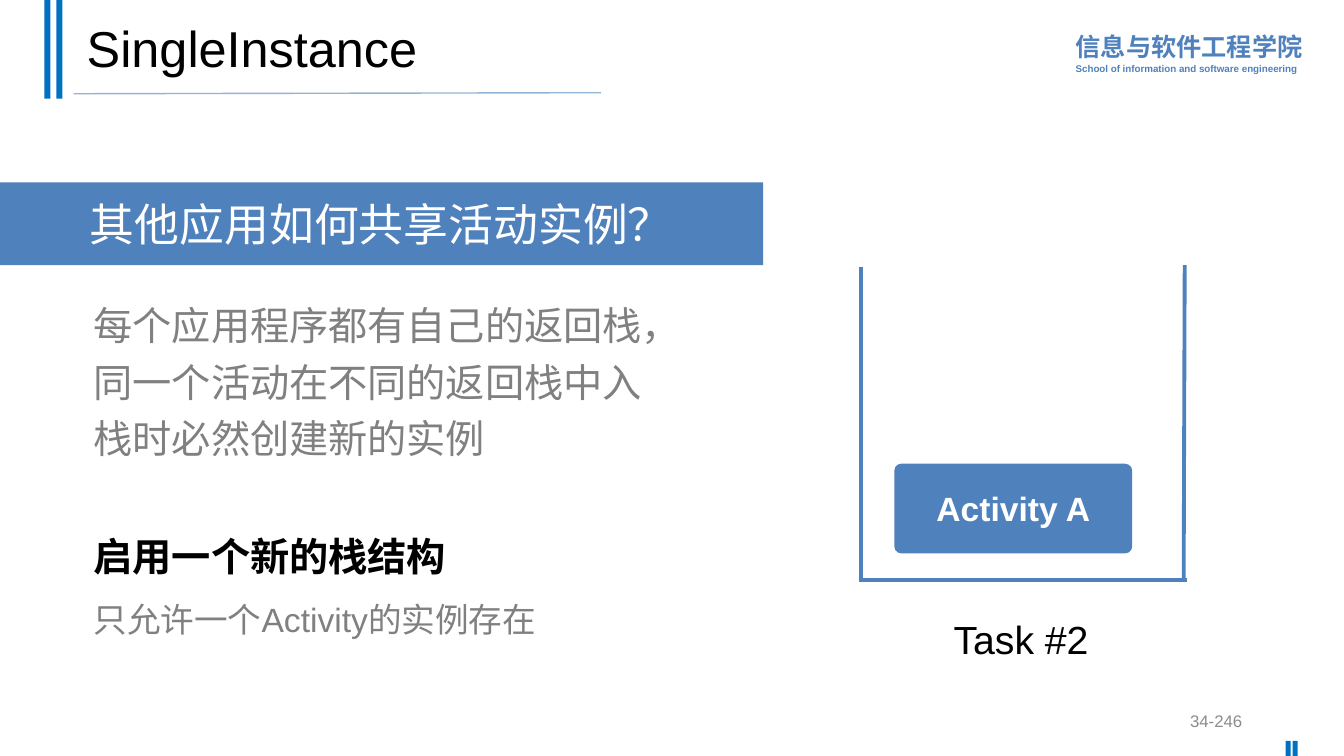
from lxml import etree
from pptx import Presentation
from pptx.dml.color import RGBColor
from pptx.enum.shapes import MSO_CONNECTOR, MSO_SHAPE
from pptx.enum.text import MSO_ANCHOR, PP_ALIGN
from pptx.oxml.ns import qn
from pptx.util import Inches, Pt

RECT, ROUNDED = MSO_SHAPE.RECTANGLE, MSO_SHAPE.ROUNDED_RECTANGLE
STRAIGHT = MSO_CONNECTOR.STRAIGHT
TOP, MIDDLE = MSO_ANCHOR.TOP, MSO_ANCHOR.MIDDLE
LEFT, CENTER, RIGHT = PP_ALIGN.LEFT, PP_ALIGN.CENTER, PP_ALIGN.RIGHT
TITLE_ONLY = 5
COLORS = {
    "accent": "4F81BD",
    "stripe": "0070C0",
    "rule": "95B3D7",
    "black": "000000",
    "white": "FFFFFF",
    "gray": "808080",
    "number": "8C8C8C",
}


class SlideBuilder:
    """Draws styled elements on the current slide."""

    font = "Arial"

    def __init__(self, prs):
        self.slide = prs.slides.add_slide(prs.slide_layouts[TITLE_ONLY])

    def color(self, name):
        return RGBColor.from_string(COLORS[name])

    def fill_text(self, tf, lines, color, anchor=TOP, wrap=True, bold=False, **paragraph):
        tf.word_wrap = wrap
        tf.vertical_anchor = anchor
        for i, (text, size) in enumerate(lines):
            p = tf.add_paragraph() if i else tf.paragraphs[0]
            for name, value in paragraph.items():
                setattr(p, name, value)
            r = p.add_run()
            r.text = text
            style = {"name": self.font, "size": Pt(size), "bold": bold}
            for name, value in style.items():
                setattr(r.font, name, value)
            r.font.color.rgb = self.color(color)

    def title(self, box, text, size):
        sp = self.slide.shapes.title
        for name, value in zip(("left", "top", "width", "height"), box):
            setattr(sp, name, Inches(value))
        self.fill_text(sp.text_frame, [(text, size)], "black", MIDDLE,
                       alignment=LEFT, line_spacing=0.9)

    def text(self, box, lines, color, **style):
        sp = self.slide.shapes.add_textbox(*map(Inches, box))
        self.fill_text(sp.text_frame, lines, color, **style)

    def block(self, box, fill, kind=RECT, radius=None):
        sp = self.slide.shapes.add_shape(kind, *map(Inches, box))
        sp.shadow.inherit = False
        sp.fill.solid()
        sp.fill.fore_color.rgb = self.color(fill)
        sp.line.fill.background()
        if radius is not None:
            sp.adjustments[0] = radius
        return sp.text_frame

    def line(self, ends, color, width):
        cxn = self.slide.shapes.add_connector(STRAIGHT, *map(Inches, ends))
        cxn.line.color.rgb = self.color(color)
        cxn.line.width = Pt(width)
        etree.SubElement(cxn._element.spPr, qn("a:effectLst"))


def main():
    prs = Presentation()
    prs.slide_width, prs.slide_height = Inches(13.33), Inches(7.5)
    s = SlideBuilder(prs)

    s.text((10.57, 0.23, 2.45, 0.56),
           [("信息与软件工程学院", 18),
            ("School of information and software engineering", 7)],
           "accent", bold=True, line_spacing=1.1)
    for x in (0.44, 0.56):
        s.block((x, 0, 0.06, 0.98), "stripe")
    for x in (12.75, 12.82):
        s.block((x, 7.35, 0.05, 0.15), "stripe")
    s.line((0.73, 0.93, 5.96, 0.92), "rule", 1)
    s.title((0.76, 0.07, 11.5, 0.88), "SingleInstance", 36)
    s.text((9.42, 6.95, 3, 0.4), [("34-246", 12)], "number",
           anchor=MIDDLE, alignment=RIGHT)

    band = s.block((0, 1.81, 7.57, 0.82), "accent")
    s.fill_text(band, [("其他应用如何共享活动实例？", 32)], "white", MIDDLE,
                wrap=False, alignment=CENTER)
    s.text((0.83, 2.85, 5.94, 1.8),
           [("每个应用程序都有自己的返回栈，同一个活动在不同的返回栈中入栈时必然创建新的实例", 28)],
           "gray", line_spacing=1.2)
    s.text((0.83, 5.23, 3.74, 0.57), [("启用一个新的栈结构", 28)], "black",
           wrap=False, bold=True)
    s.text((0.83, 5.89, 4.63, 0.5), [("只允许一个Activity的实例存在", 24)], "gray")

    activity = s.block((8.87, 4.6, 2.36, 0.89), "accent", ROUNDED, 0.08)
    s.fill_text(activity, [("Activity A", 24)], "white", MIDDLE,
                bold=True, alignment=CENTER)
    for ends in ((8.54, 2.65, 8.54, 5.76),
                 (11.75, 2.63, 11.74, 5.76),
                 (8.52, 5.75, 11.77, 5.75)):
        s.line(ends, "accent", 2.75)
    s.text((9.36, 6.05, 1.56, 0.69), [("Task #2", 28)], "black", wrap=False)

    prs.save("out.pptx")


if __name__ == "__main__":
    main()
